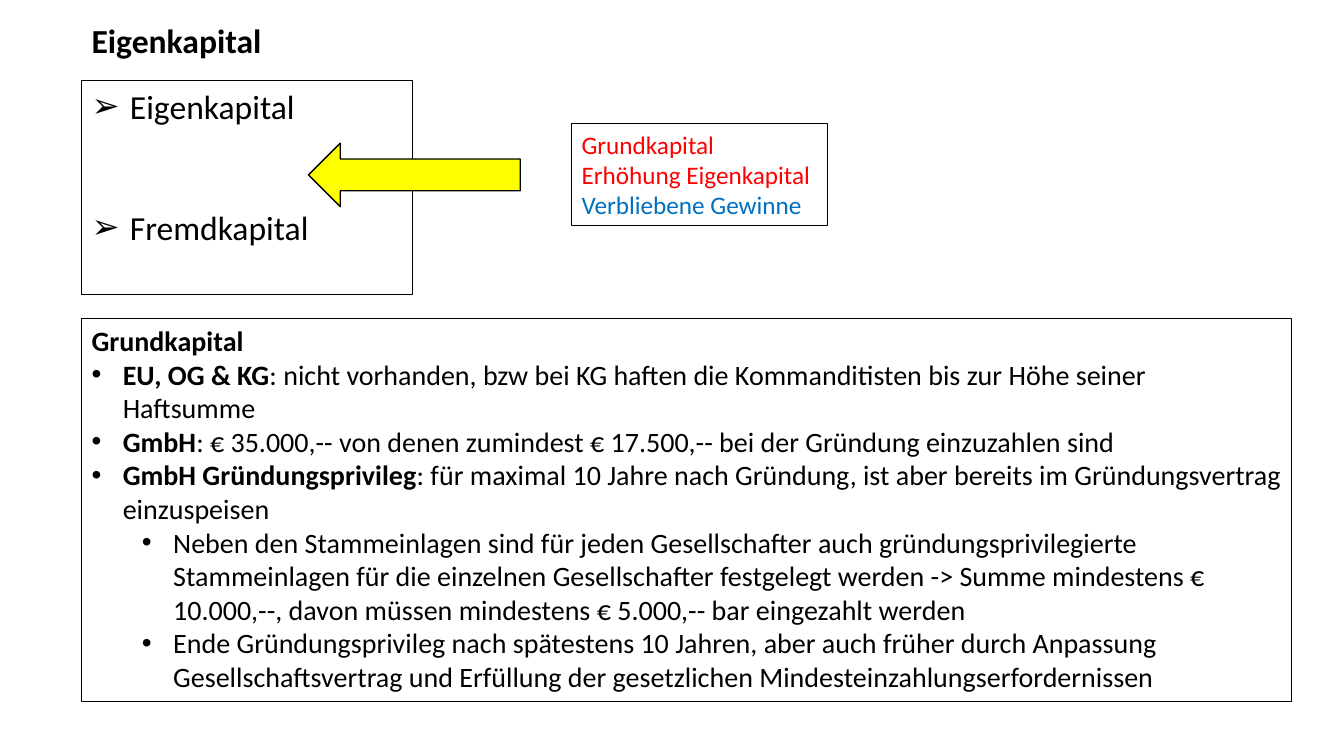
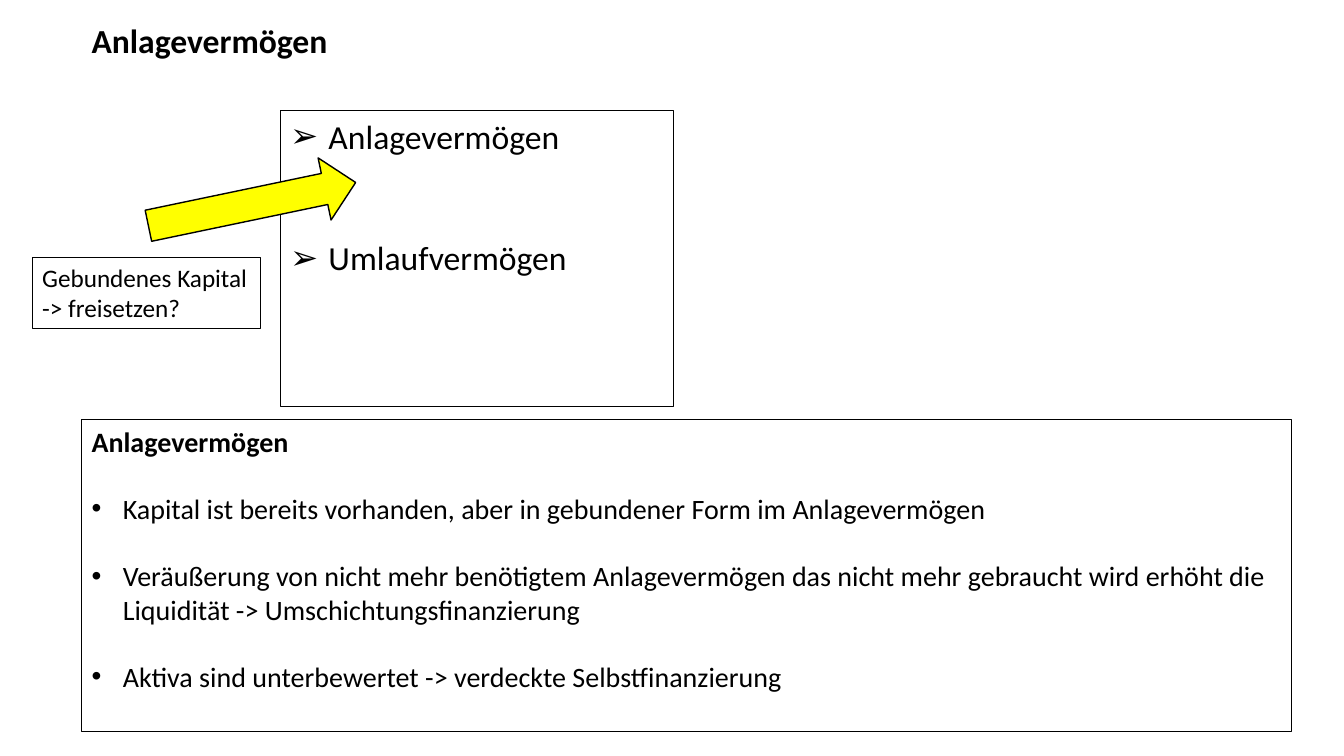
from dataclasses import dataclass, field

from lxml.etree import SubElement
from pptx import Presentation
from pptx.dml.color import RGBColor
from pptx.enum.shapes import MSO_SHAPE
from pptx.enum.text import MSO_ANCHOR, PP_ALIGN
from pptx.oxml.ns import qn
from pptx.util import Inches, Pt

BLACK, RED, BLUE, YELLOW = "000000", "FF0000", "0070C0", "FFFF00"
FONT = "Calibri"
TITLE_SIZE, LIST_SIZE, BODY_SIZE, NOTE_SIZE = 24, 24, 20, 18
LIST_GAP, BODY_GAP = 58, 24
LEFT, BODY_WIDTH = 0.81, 12


def color(hex_value):
    return RGBColor.from_string(hex_value)


@dataclass
class Line:
    """One paragraph: a bold lead followed by plain text."""
    text: str = ""
    lead: str = ""
    color: str = BLACK
    bullet: str = ""
    hanging: float = 0
    level: int = 0
    gap: float = 0


def point(text, lead="", level=0, gap=0):
    return Line(text, lead, bullet="•", hanging=0.31, level=level, gap=gap)


@dataclass
class Deck:
    presentation: object = field(default_factory=Presentation)
    slide: object = None

    def set_size(self):
        self.presentation.slide_width = Inches(13.33)
        self.presentation.slide_height = Inches(7.5)

    def new_slide(self, title):
        self.slide = self.presentation.slides.add_slide(
            self.presentation.slide_layouts[6])
        heading = self.slide.shapes.add_textbox(
            *map(Inches, (LEFT, 0.15, 8.09, 0.5)))
        self.fill_text(heading.text_frame, [Line(lead=title)], TITLE_SIZE)

    def shape(self, preset, place, line_width, fill=None):
        shape = self.slide.shapes.add_shape(preset, *map(Inches, place))
        shape.shadow.inherit = False
        if fill:
            shape.fill.solid()
            shape.fill.fore_color.rgb = color(fill)
        else:
            shape.fill.background()
        shape.line.color.rgb = color(BLACK)
        shape.line.width = Pt(line_width)
        return shape

    def box(self, place, lines, size):
        frame = self.shape(MSO_SHAPE.RECTANGLE, place, 0.75)
        self.fill_text(frame.text_frame, lines, size)

    def arrow(self, left, top, rotation):
        arrow = self.shape(MSO_SHAPE.RIGHT_ARROW, (left, top, 2.1, 0.63), 1, YELLOW)
        arrow.rotation = rotation

    def capital_list(self, place, first, second):
        self.box(place, [Line(first, bullet="➢", hanging=0.38),
                         Line(second, bullet="➢", hanging=0.38, gap=LIST_GAP)],
                 LIST_SIZE)

    def note(self, place, lines):
        self.box(place, lines, NOTE_SIZE)

    def body(self, top, height, heading, points):
        self.box((LEFT, top, BODY_WIDTH, height),
                 [Line(lead=heading), *points], BODY_SIZE)

    def fill_text(self, frame, lines, size):
        frame.word_wrap = True
        frame.vertical_anchor = MSO_ANCHOR.TOP
        for index, line in enumerate(lines):
            paragraph = frame.add_paragraph() if index else frame.paragraphs[0]
            paragraph.alignment = PP_ALIGN.LEFT
            paragraph.level = line.level
            paragraph.space_before = Pt(line.gap)
            if line.bullet:
                self.add_bullet(paragraph, line)
            for text, bold in ((line.lead, True), (line.text, False)):
                if text:
                    run = paragraph.add_run()
                    run.text = text
                    run.font.color.rgb = color(line.color)
                    formats = {"name": FONT, "size": Pt(size), "bold": bold}
                    for name, value in formats.items():
                        setattr(run.font, name, value)

    @staticmethod
    def add_bullet(paragraph, line):
        properties = paragraph._p.get_or_add_pPr()
        properties.set("marL", str(Inches(line.hanging + line.level * 0.5)))
        properties.set("indent", str(-Inches(line.hanging)))
        SubElement(properties, qn("a:buFont")).set("typeface", "Arial")
        SubElement(properties, qn("a:buChar")).set("char", line.bullet)


def equity_slide(deck):
    deck.new_slide("Eigenkapital")
    deck.capital_list((LEFT, 0.8, 3.28, 2.12), "Eigenkapital", "Fremdkapital")
    deck.arrow(3.06, 1.42, 180)
    deck.note((5.67, 1.23, 2.54, 1.01), [
        Line("Grundkapital", color=RED),
        Line("Erhöhung Eigenkapital", color=RED),
        Line("Verbliebene Gewinne", color=BLUE),
    ])
    deck.body(3.16, 3.8, "Grundkapital", [
        point(": nicht vorhanden, bzw bei KG haften die Kommanditisten bis zur "
              "Höhe seiner Haftsumme", "EU, OG & KG"),
        point(": € 35.000,-- von denen zumindest € 17.500,-- bei der Gründung "
              "einzuzahlen sind", "GmbH"),
        point(": für maximal 10 Jahre nach Gründung, ist aber bereits im "
              "Gründungsvertrag einzuspeisen", "GmbH Gründungsprivileg"),
        point("Neben den Stammeinlagen sind für jeden Gesellschafter auch "
              "gründungsprivilegierte Stammeinlagen für die einzelnen "
              "Gesellschafter festgelegt werden -> Summe mindestens € 10.000,--, "
              "davon müssen mindestens € 5.000,-- bar eingezahlt werden", level=1),
        point("Ende Gründungsprivileg nach spätestens 10 Jahren, aber auch früher "
              "durch Anpassung Gesellschaftsvertrag und Erfüllung der gesetzlichen "
              "Mindesteinzahlungserfordernissen", level=1),
    ])


def fixed_assets_slide(deck):
    deck.new_slide("Anlagevermögen")
    deck.capital_list((2.78, 1.1, 3.9, 2.93), "Anlagevermögen", "Umlaufvermögen")
    deck.arrow(1.45, 1.71, 348.2)
    deck.note((0.32, 2.55, 2.26, 0.71),
              [Line("Gebundenes Kapital"), Line("-> freisetzen?")])
    deck.body(4.16, 3.1, "Anlagevermögen", [point(text, gap=BODY_GAP) for text in (
        "Kapital ist bereits vorhanden, aber in gebundener Form im Anlagevermögen",
        "Veräußerung von nicht mehr benötigtem Anlagevermögen das nicht mehr "
        "gebraucht wird erhöht die Liquidität -> Umschichtungsfinanzierung",
        "Aktiva sind unterbewertet -> verdeckte Selbstfinanzierung",
    )])


def main():
    deck = Deck()
    deck.set_size()
    equity_slide(deck)
    fixed_assets_slide(deck)
    deck.presentation.save("out.pptx")


if __name__ == "__main__":
    main()
